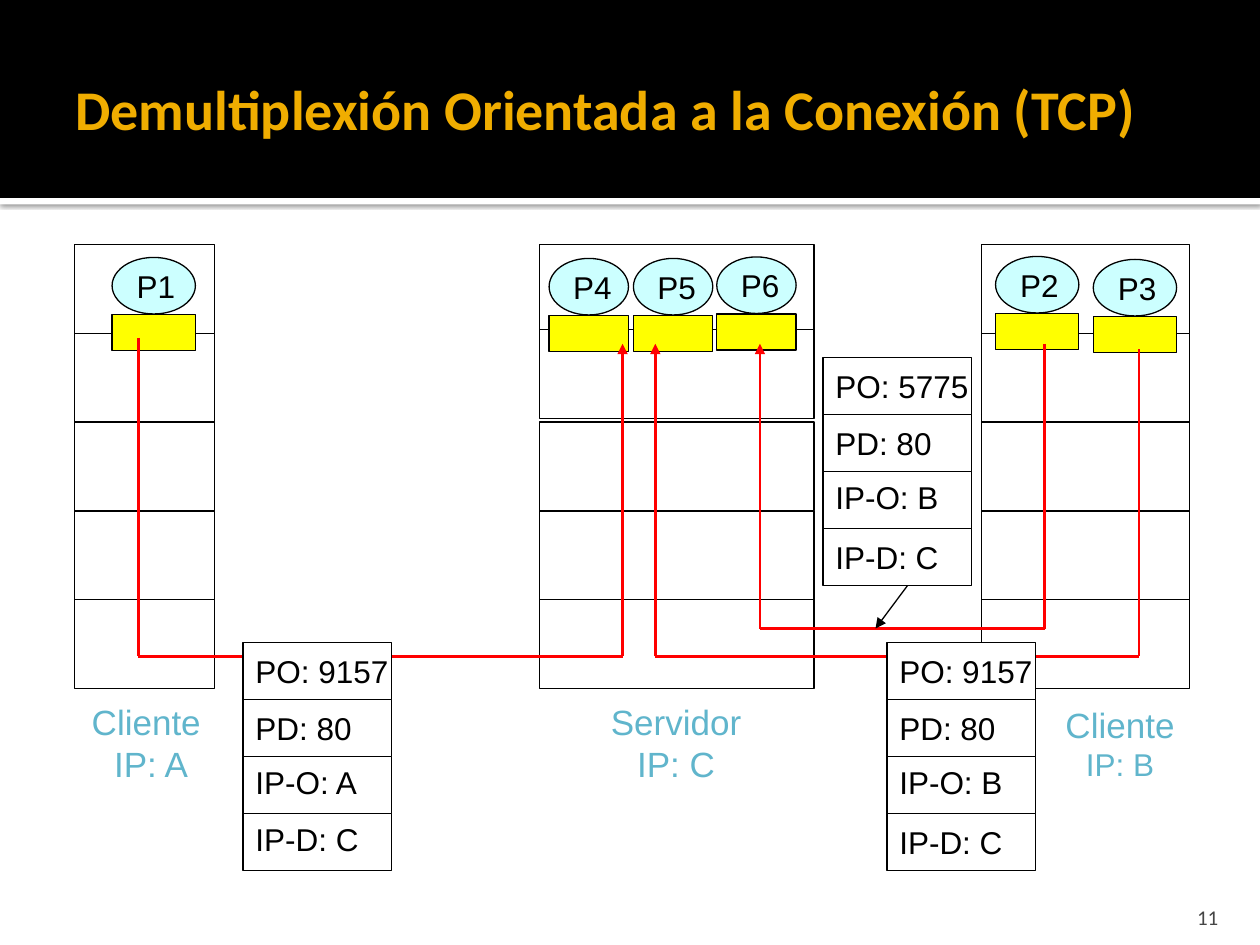
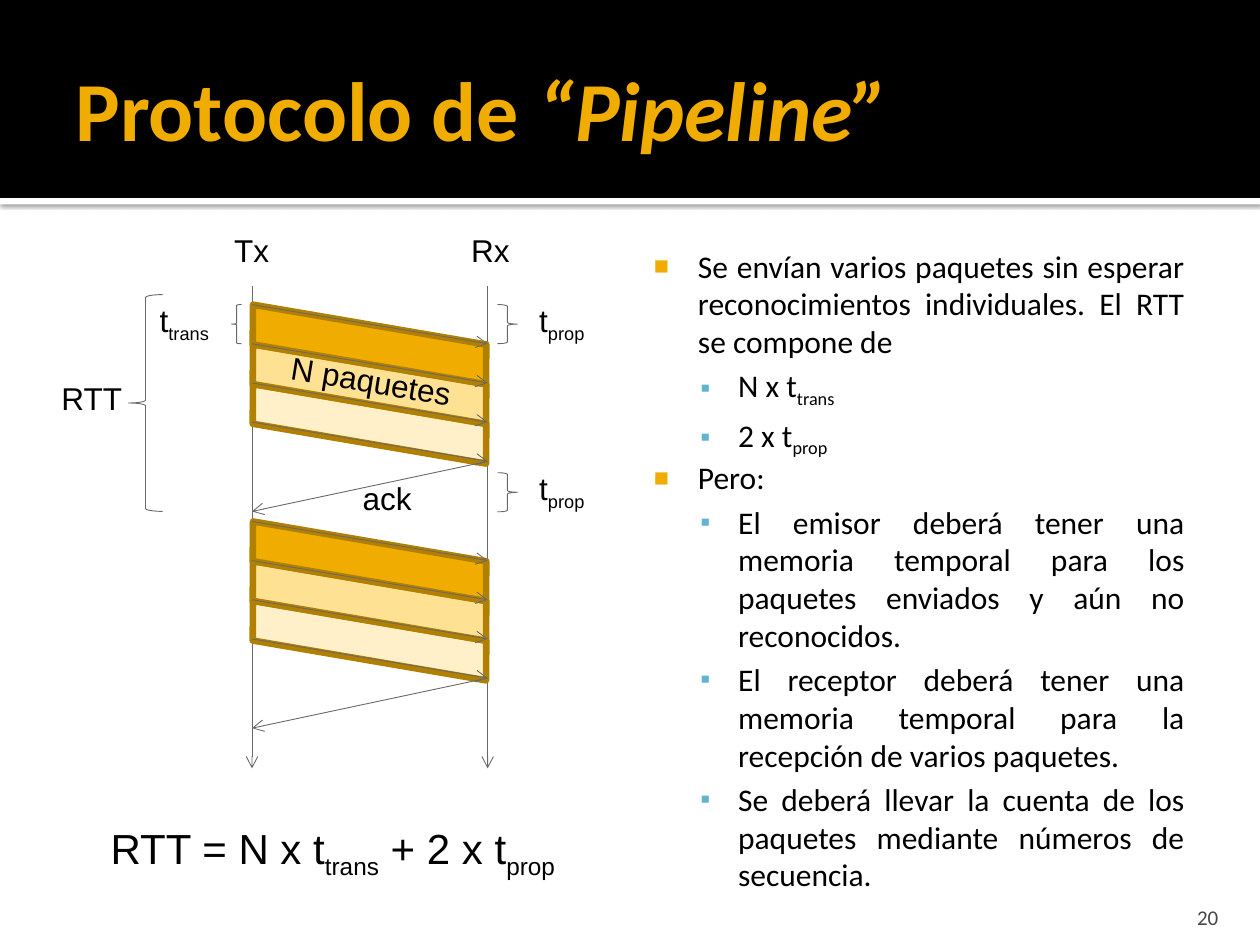
from lxml import etree
from pptx import Presentation
from pptx.dml.color import RGBColor
from pptx.enum import shapes as kinds, text as txt
from pptx.oxml.ns import qn
from pptx.util import Cm, Pt

BLACK = RGBColor(0x00, 0x00, 0x00)
WHITE = RGBColor(0xFF, 0xFF, 0xFF)
GOLD = RGBColor(0xF0, 0xAD, 0x00)
PALE_GOLD = RGBColor(0xFF, 0xE1, 0x93)
CREAM = RGBColor(0xFF, 0xF0, 0xC9)
DARK_GOLD = RGBColor(0xB2, 0x80, 0x00)
SKY = RGBColor(0x60, 0xB5, 0xCC)
AQUA = RGBColor(0xCC, 0xFF, 0xFF)
YELLOW = RGBColor(0xFF, 0xFF, 0x00)
RED = RGBColor(0xFF, 0x00, 0x00)
GREY = RGBColor(0x68, 0x68, 0x6D)
NUMBER_GREY = RGBColor(0x45, 0x45, 0x45)

PRESET = kinds.MSO_SHAPE
MIDDLE, TOP, BOTTOM = (txt.MSO_ANCHOR.MIDDLE, txt.MSO_ANCHOR.TOP,
                       txt.MSO_ANCHOR.BOTTOM)
ALIGN = txt.PP_ALIGN
PLAIN, ITALIC, SUB = "plain", "italic", "sub"

# Slide 1. All positions are in centimetres.
LAYER_TOP, LAYER_HEIGHT, LAYERS = 4.93, 1.79, 5
HOSTS = [  # left, width, lift of second layer, label centre, label top, label
    (1.5, 2.82, 0, 2.95, 14, [("Cliente", 20), (" IP: A", 20)]),
    (10.87, 5.54, 0.07, 13.63, 14, [("Servidor", 20), ("IP: C", 20)]),
    (19.79, 4.19, 0, 22.58, 14.05, [("Cliente", 20), ("IP: B", 18)]),
]
PROCESSES = [  # name, left, top, width
    ("P1", 2.26, 5.19, 1.68),
    ("P2", 20.07, 5.17, 1.68),
    ("P3", 22.04, 5.23, 1.68),
    ("P4", 11.07, 5.21, 1.6),
    ("P5", 12.77, 5.21, 1.6),
    ("P6", 14.45, 5.18, 1.6),
]
CONNECTIONS = [  # start x, start y, turning y, server x
    (2.79, 6.81, 13.23, 12.55),
    (22.96, 7.04, 13.23, 13.21),
    (21.06, 6.93, 12.67, 15.32),
]
SERVER_SOCKET_Y = 6.93
FIELD_WIDTH, FIELD_HEIGHT = 3, 1.15
SEGMENTS = [  # left, top, [(field, anchor)]
    (4.9, 12.95, [("PO: 9157", MIDDLE), ("PD: 80", MIDDLE),
                  ("IP-O: A", TOP), ("IP-D: C", TOP)]),
    (17.88, 12.95, [("PO: 9157", MIDDLE), ("PD: 80", MIDDLE),
                    ("IP-O: B", TOP), ("IP-D: C", MIDDLE)]),
    (16.59, 7.21, [("PO: 5775", MIDDLE), ("PD: 80", MIDDLE),
                   ("IP-O: B", TOP), ("IP-D: C", MIDDLE)]),
]
SEGMENT_POINTER = ((18.29, 11.81), (17.65, 12.67))

# Slide 2
TX_X, RX_X = 5.08, 9.83
TIME_START, TIME_END = 5.77, 15.49
BURST_STARTS = [6.14, 10.51]
PACKET_TIME, ACK_DROP = 0.79, 1.01
PACKET_FILLS = [GOLD, PALE_GOLD, CREAM]
BRACES = [  # preset, left, top, width, height
    (PRESET.LEFT_BRACE, 4.67, 6.14, 0.2, 0.79),
    (PRESET.RIGHT_BRACE, 10.03, 6.14, 0.4, 0.79),
    (PRESET.RIGHT_BRACE, 10.03, 9.53, 0.4, 0.79),
    (PRESET.LEFT_BRACE, 2.59, 5.94, 0.69, 4.37),
]
T_TRANS = [("t", PLAIN), ("trans", SUB)]
T_PROP = [("t", PLAIN), ("prop", SUB)]
LABELS = [  # left, top, width, size, rotation, parts
    (4.47, 4.52, 1.6, 18, 0, [("Tx", PLAIN)]),
    (9.25, 4.52, 1.6, 18, 0, [("Rx", PLAIN)]),
    (2.97, 5.94, 1.9, 18, 0, T_TRANS),
    (10.62, 5.94, 1.6, 18, 0, T_PROP),
    (10.62, 9.32, 1.6, 18, 0, T_PROP),
    (0.99, 7.52, 1.9, 18, 0, [("RTT", PLAIN)]),
    (7.06, 9.53, 1.6, 18, 0, [("ack", PLAIN)]),
    (5.61, 7.16, 3.76, 18, 9.3, [("N paquetes", PLAIN)]),
    (1.98, 16.46, 10.52, 24, 0,
     [("RTT = N x t", PLAIN), ("trans", SUB), (" + 2 x t", PLAIN), ("prop", SUB)]),
]
POINTS = [  # level, parts
    (0, [("Se envían varios paquetes sin esperar reconocimientos individuales. "
          "El RTT se compone de", PLAIN)]),
    (1, [("N x t", PLAIN), ("trans", SUB)]),
    (1, [("2 x t", PLAIN), ("prop", SUB)]),
    (0, [("Pero:", PLAIN)]),
    (1, [("El emisor deberá tener una memoria temporal para los paquetes "
          "enviados y aún no reconocidos.", PLAIN)]),
    (1, [("El receptor deberá tener una memoria temporal para la recepción "
          "de varios paquetes.", PLAIN)]),
    (1, [("Se deberá llevar la cuenta de los paquetes mediante números de "
          "secuencia.", PLAIN)]),
]
BULLETS = [  # character, colour, size %, left margin, hanging, space before
    ("■", GOLD, 80, 1.22, 0.89, 0),
    ("▪", SKY, 90, 2.03, 0.76, 3.6),
]


def add_xml(parent, tag, **attributes):
    return etree.SubElement(parent, qn(tag), attributes)


def add_runs(paragraph, parts, size, color=BLACK, face="Arial", bold=False):
    for words, style in parts:
        run = paragraph.add_run()
        run.text = words
        font = run.font
        font.size, font.name, font.bold = Pt(size), face, bold
        font.color.rgb = color
        if style == ITALIC:
            font.italic = True
        elif style == SUB:
            run._r.get_or_add_rPr().set("baseline", "-25000")


def set_frame(frame, anchor=TOP, wrap=True, insets=(0.25, 0.13, 0.25, 0.13)):
    """Insets run left, top, right, bottom."""
    frame.auto_size = txt.MSO_AUTO_SIZE.NONE
    frame.vertical_anchor = anchor
    frame.word_wrap = wrap
    (frame.margin_left, frame.margin_top,
     frame.margin_right, frame.margin_bottom) = map(Cm, insets)


def place(part, left, top, width, height):
    part.left, part.top, part.width, part.height = map(
        Cm, (left, top, width, height))


def add_figure(slide, preset, box, fill=None, line=None, weight=0.75):
    figure = slide.shapes.add_shape(preset, *map(Cm, box))
    figure.shadow.inherit = False
    if fill is None:
        figure.fill.background()
    else:
        figure.fill.solid()
        figure.fill.fore_color.rgb = fill
    if line is None:
        figure.line.fill.background()
    else:
        figure.line.color.rgb = line
        figure.line.width = Pt(weight)
    return figure


def add_figure_text(figure, words, anchor):
    set_frame(figure.text_frame, anchor, wrap=False)
    paragraph = figure.text_frame.paragraphs[0]
    paragraph.alignment = ALIGN.LEFT
    add_runs(paragraph, [(words, PLAIN)], 18)


def add_line(slide, start, end, color, weight, head=None):
    line = slide.shapes.add_connector(
        kinds.MSO_CONNECTOR.STRAIGHT, *map(Cm, (*start, *end)))
    line.line.color.rgb = color
    line.line.width = Pt(weight)
    if head:
        add_xml(line.line._get_or_add_ln(), "a:tailEnd", type=head)
    add_xml(line.element.spPr, "a:effectLst")


def add_slide(prs, layout, title_parts, title_size, number):
    slide = prs.slides.add_slide(prs.slide_layouts[layout])
    edge = add_figure(slide, PRESET.RECTANGLE, (0, 3.99, 25.4, 0.13), WHITE)
    shadow = add_xml(edge.element.spPr.find(qn("a:effectLst")), "a:outerShdw",
                     blurRad=str(Pt(2.5)), dist=str(Pt(0.8)), dir="5400000",
                     algn="t", rotWithShape="0")
    add_xml(add_xml(shadow, "a:srgbClr", val=str(BLACK)), "a:alpha", val="60000")
    add_figure(slide, PRESET.RECTANGLE, (0, 0, 25.4, 3.99), BLACK)

    title = slide.shapes.title
    place(title, 1.27, 0.43, 22.86, 3.48)
    set_frame(title.text_frame, MIDDLE, insets=(0.25, 0.13, 0.13, 0.13))
    heading = title.text_frame.paragraphs[0]
    heading.alignment = ALIGN.LEFT
    add_runs(heading, title_parts, title_size, GOLD, "Calibri", bold=True)
    title.element.getparent().append(title.element)  # in front of the band

    footer = slide.shapes.add_textbox(*map(Cm, (22.78, 17.98, 2.03, 0.76)))
    set_frame(footer.text_frame, BOTTOM, insets=(0.25, 0.13, 0.25, 0))
    page = footer.text_frame.paragraphs[0]
    page.alignment = ALIGN.RIGHT
    add_runs(page, [(number, PLAIN)], 12, NUMBER_GREY, "Calibri")
    return slide


def add_host(slide, left, width, lift, centre, label_top, label):
    for layer in range(LAYERS):
        top = LAYER_TOP + layer * LAYER_HEIGHT - (lift if layer == 1 else 0)
        add_figure(slide, PRESET.RECTANGLE, (left, top, width, LAYER_HEIGHT),
                   WHITE, BLACK)
    caption = slide.shapes.add_textbox(
        *map(Cm, (centre - 1.6, label_top, 3.2, 1.95)))
    frame = caption.text_frame
    set_frame(frame, wrap=False)
    for index, (words, size) in enumerate(label):
        paragraph = frame.add_paragraph() if index else frame.paragraphs[0]
        paragraph.alignment = ALIGN.CENTER
        add_runs(paragraph, [(words, PLAIN)], size, SKY)


def build_demultiplexing(prs):
    slide = add_slide(
        prs, 5, [("Demultiplexión Orientada a la Conexión (TCP)", PLAIN)], 32, "11")
    for host in HOSTS:
        add_host(slide, *host)
    for name, left, top, width in PROCESSES:
        add_figure(slide, PRESET.RECTANGLE, (left, top + 1.15, width, 0.73),
                   YELLOW, BLACK)
        process = add_figure(slide, PRESET.OVAL, (left, top, width, 1.14),
                             AQUA, BLACK)
        add_figure_text(process, name, MIDDLE)
    for client_x, client_y, turn_y, server_x in CONNECTIONS:
        route = [(client_x, client_y), (client_x, turn_y),
                 (server_x, turn_y), (server_x, SERVER_SOCKET_Y)]
        heads = [None, None, "triangle"]
        for start, end, head in zip(route, route[1:], heads):
            add_line(slide, start, end, RED, 1.5, head)
    for left, top, fields in SEGMENTS:
        for row, (words, anchor) in enumerate(fields):
            field = add_figure(
                slide, PRESET.RECTANGLE,
                (left, top + row * FIELD_HEIGHT, FIELD_WIDTH, FIELD_HEIGHT),
                WHITE, BLACK)
            add_figure_text(field, words, anchor)
    add_line(slide, *SEGMENT_POINTER, BLACK, 0.75, "triangle")


def add_burst(slide, start):
    """Draw the packets of one window, their arrows and the returning ack."""
    for index, fill in reversed(list(enumerate(PACKET_FILLS))):
        packet = add_figure(
            slide, PRESET.PARALLELOGRAM,
            (5, start + 0.41 + index * (PACKET_TIME + 0.01), 4.9, PACKET_TIME),
            fill, DARK_GOLD, 3.78)
        packet.adjustments[0] = 0.163
        packet.rotation = 9.7
        packet.element.spPr.find(qn("a:xfrm")).set("flipV", "1")
    for index in range(len(PACKET_FILLS) + 1):
        sent = start + index * PACKET_TIME
        received = sent + PACKET_TIME
        add_line(slide, (TX_X, sent), (RX_X, received), GREY, 0.5, "arrow")
    add_line(slide, (RX_X, received), (TX_X, received + ACK_DROP),
             GREY, 0.5, "arrow")


def add_points(body):
    place(body, 12.7, 4.72, 11.43, 13.34)
    frame = body.text_frame
    set_frame(frame, insets=(0.15, 0.25, 0.25, 0.13))
    for index, (level, parts) in enumerate(POINTS):
        paragraph = frame.add_paragraph() if index else frame.paragraphs[0]
        mark, color, percent, margin, hanging, before = BULLETS[level]
        paragraph.level = level
        paragraph.alignment = ALIGN.JUSTIFY
        paragraph.space_before = Pt(before)
        add_runs(paragraph, parts, 18, face="Calibri")
        props = paragraph._p.get_or_add_pPr()
        props.set("marL", str(Cm(margin)))
        props.set("indent", str(-Cm(hanging)))
        add_xml(add_xml(props, "a:buClr"), "a:srgbClr", val=str(color))
        add_xml(props, "a:buSzPct", val=str(percent * 1000))
        add_xml(props, "a:buFont", typeface="Arial")
        add_xml(props, "a:buChar", char=mark)


def build_pipeline(prs):
    slide = add_slide(
        prs, 1, [("Protocolo de ", PLAIN), ("“Pipeline”", ITALIC)], 48, "20")
    add_points(slide.placeholders[1])
    for x in (TX_X, RX_X):
        add_line(slide, (x, TIME_START), (x, TIME_END), GREY, 0.5, "arrow")
    for start in BURST_STARTS:
        add_burst(slide, start)
    for preset, *box in BRACES:
        add_figure(slide, preset, box, line=GREY, weight=0.5)
    for left, top, width, size, rotation, parts in LABELS:
        label = slide.shapes.add_textbox(
            *map(Cm, (left, top, width, 1.27 if size > 18 else 1.02)))
        label.rotation = rotation
        set_frame(label.text_frame)
        add_runs(label.text_frame.paragraphs[0], parts, size)


def main():
    prs = Presentation()
    prs.slide_width, prs.slide_height = Cm(25.4), Cm(19.05)
    build_demultiplexing(prs)
    build_pipeline(prs)
    prs.save("out.pptx")


if __name__ == "__main__":
    main()
